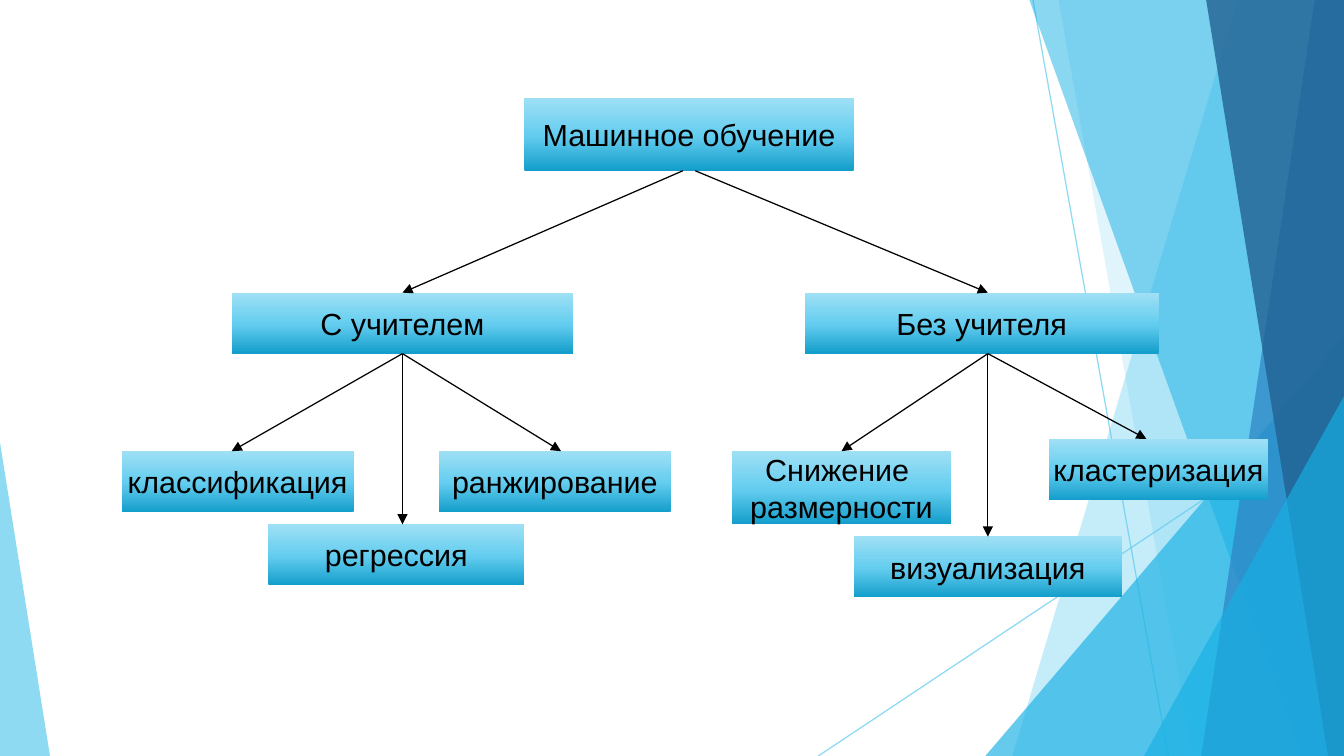
from dataclasses import dataclass
from lxml.etree import SubElement
from pptx import Presentation
from pptx.dml.color import RGBColor as RGB
from pptx.enum.shapes import MSO_CONNECTOR as Link, MSO_SHAPE as Form
from pptx.enum.text import MSO_ANCHOR as Anchor, PP_ALIGN as Align
from pptx.oxml.ns import qn
from pptx.util import Inches, Length, Pt

WIDE, HIGH = 110.2, 62  # slide size in grid cells
CELL = 0.1  # inches


@dataclass(frozen=True)
class Theme:
    font: str = "Arial"
    size: int = 18
    rule: float = 0.75
    ink: str = "000000"
    sky: str = "5FCBEF"
    azure: str = "17B0E4"
    blue: str = "2E83C3"
    navy: str = "226292"
    blend: tuple[tuple[int, str], ...] = ((0, "149ECB"), (48, "64CDEF"), (100, "9FE0F5"))


@dataclass(frozen=True)
class Ray:
    """A thin line across the backdrop."""
    x1: float
    y1: float
    x2: float
    y2: float


@dataclass(frozen=True)
class Panel:
    """A slanted band from the line top-foot to the right edge."""
    top: float
    foot: float
    color: str
    alpha: int


@dataclass(frozen=True)
class Wedge:
    """A triangle standing on the bottom edge, its peak at a share of its width."""
    left: float
    top: float
    wide: float
    peak: int
    color: str
    alpha: int


@dataclass(frozen=True)
class Box:
    text: str
    left: int
    top: int
    wide: int
    high: int = 5

    def mid(self, col: int) -> bool:
        return 2 * col == 2 * self.left + self.wide


@dataclass(frozen=True)
class Arrow:
    """An arrow from the bottom of one box to the top of another, by column."""
    start: str
    end: str
    x1: int
    x2: int


LOOK = Theme()
RAYS = [Ray(84.7, 0, 95.8, HIGH), Ray(WIDE, 33.3, 67.1, HIGH)]
DECOR = [
    Panel(101.5, 83, LOOK.sky, 36),
    Panel(86.8, 97.8, LOOK.sky, 20),
    Wedge(80.8, 27.6, 29.4, 1, LOOK.azure, 66),
    Panel(84.4, 106.7, LOOK.azure, 50),
    Panel(107.8, 98.5, LOOK.blue, 70),
    Panel(98.9, 108.9, LOOK.navy, 80),
    Wedge(93.8, 32.5, 16.4, 1, LOOK.azure, 66),
    Wedge(0, 36.3, 4.1, 0, LOOK.sky, 70),
]
BOXES = {
    "root": Box("Машинное обучение", 43, 8, 27, 6),
    "guided": Box("С учителем", 19, 24, 28),
    "free": Box("Без учителя", 66, 24, 29),
    "class": Box("классификация", 10, 37, 19),
    "regress": Box("регрессия", 22, 43, 21),
    "rank": Box("ранжирование", 36, 37, 19),
    "reduce": Box("Снижение \nразмерности", 60, 37, 18, 6),
    "cluster": Box("кластеризация", 86, 36, 18),
    "visual": Box("визуализация", 70, 44, 22),
}
ARROWS = [
    Arrow("root", "guided", 56, 33),
    Arrow("root", "free", 57, 81),
    Arrow("guided", "class", 33, 19),
    Arrow("guided", "regress", 33, 33),
    Arrow("guided", "rank", 33, 46),
    Arrow("free", "reduce", 81, 69),
    Arrow("free", "visual", 81, 81),
    Arrow("free", "cluster", 81, 94),
]


def cells(count: float) -> Length:
    return Inches(count * CELL)


def fade(part, alpha: int) -> None:
    """Set the opacity of the only colour in a fill or line."""
    color = next(part.iter(qn("a:srgbClr")))
    SubElement(color, qn("a:alpha")).set("val", str(alpha * 1000))


def tint(shape, color: str, alpha: int) -> None:
    shape.shadow.inherit = False
    shape.line.fill.background()
    shape.fill.solid()
    shape.fill.fore_color.rgb = RGB.from_string(color)
    fade(shape._element.spPr, alpha)


def blend(shape) -> None:
    """Fill a shape with the theme's gradient, running upwards."""
    shape.fill.gradient()
    shape.fill.gradient_angle = 90
    stops = next(shape._element.spPr.iter(qn("a:gsLst")))
    for old in list(stops):
        stops.remove(old)
    for place, color in LOOK.blend:
        stop = SubElement(stops, qn("a:gs"))
        stop.set("pos", str(place * 1000))
        SubElement(stop, qn("a:srgbClr")).set("val", color)


def write(shape, text: str, *, size: int = LOOK.size, color: str = LOOK.ink,
          align: Align = Align.CENTER, anchor: Anchor = Anchor.MIDDLE) -> None:
    frame = shape.text_frame
    frame.word_wrap = False
    frame.vertical_anchor = anchor
    frame.text = text
    for para in frame.paragraphs:
        para.alignment = align
        for run in para.runs:
            run.font.name = LOOK.font
            run.font.size = Pt(size)
            run.font.color.rgb = RGB.from_string(color)


def draw_line(shapes, ends: tuple[float, ...], color: str):
    line = shapes.add_connector(Link.STRAIGHT, *map(cells, ends))
    line.line.width = Pt(LOOK.rule)
    line.line.color.rgb = RGB.from_string(color)
    SubElement(line._element.spPr, qn("a:effectLst"))
    return line


def draw_ray(shapes, ray: Ray) -> None:
    line = draw_line(shapes, (ray.x1, ray.y1, ray.x2, ray.y2), LOOK.sky)
    fade(line._element.spPr, 70)


def draw_panel(shapes, band: Panel) -> None:
    path = shapes.build_freeform(cells(band.top), 0)
    rest = [(WIDE, 0), (WIDE, HIGH), (band.foot, HIGH)]
    path.add_line_segments([(cells(x), cells(y)) for x, y in rest])
    tint(path.convert_to_shape(), band.color, band.alpha)


def draw_wedge(shapes, wedge: Wedge) -> None:
    area = (wedge.left, wedge.top, wedge.wide, HIGH - wedge.top)
    shape = shapes.add_shape(Form.ISOSCELES_TRIANGLE, *map(cells, area))
    shape.adjustments[0] = wedge.peak
    tint(shape, wedge.color, wedge.alpha)


def draw_box(shapes, box: Box):
    area = (box.left, box.top, box.wide, box.high)
    shape = shapes.add_shape(Form.RECTANGLE, *map(cells, area))
    shape.shadow.inherit = False
    shape.line.fill.background()
    blend(shape)
    write(shape, box.text)
    return shape


def draw_arrow(shapes, arrow: Arrow, drawn: dict) -> None:
    start, end = BOXES[arrow.start], BOXES[arrow.end]
    ends = (arrow.x1, start.top + start.high, arrow.x2, end.top)
    line = draw_line(shapes, ends, LOOK.ink)
    SubElement(line.line._get_or_add_ln(), qn("a:tailEnd")).set("type", "triangle")
    if start.mid(arrow.x1):
        line.begin_connect(drawn[arrow.start], 2)
    if end.mid(arrow.x2):
        line.end_connect(drawn[arrow.end], 0)


def main() -> None:
    deck = Presentation()
    deck.slide_width, deck.slide_height = cells(WIDE), cells(HIGH)
    shapes = deck.slides.add_slide(deck.slide_layouts[6]).shapes
    for ray in RAYS:
        draw_ray(shapes, ray)
    for item in DECOR:
        (draw_panel if isinstance(item, Panel) else draw_wedge)(shapes, item)
    drawn = {name: draw_box(shapes, box) for name, box in BOXES.items()}
    for arrow in ARROWS:
        draw_arrow(shapes, arrow, drawn)
    deck.save("out.pptx")


if __name__ == "__main__":
    main()
